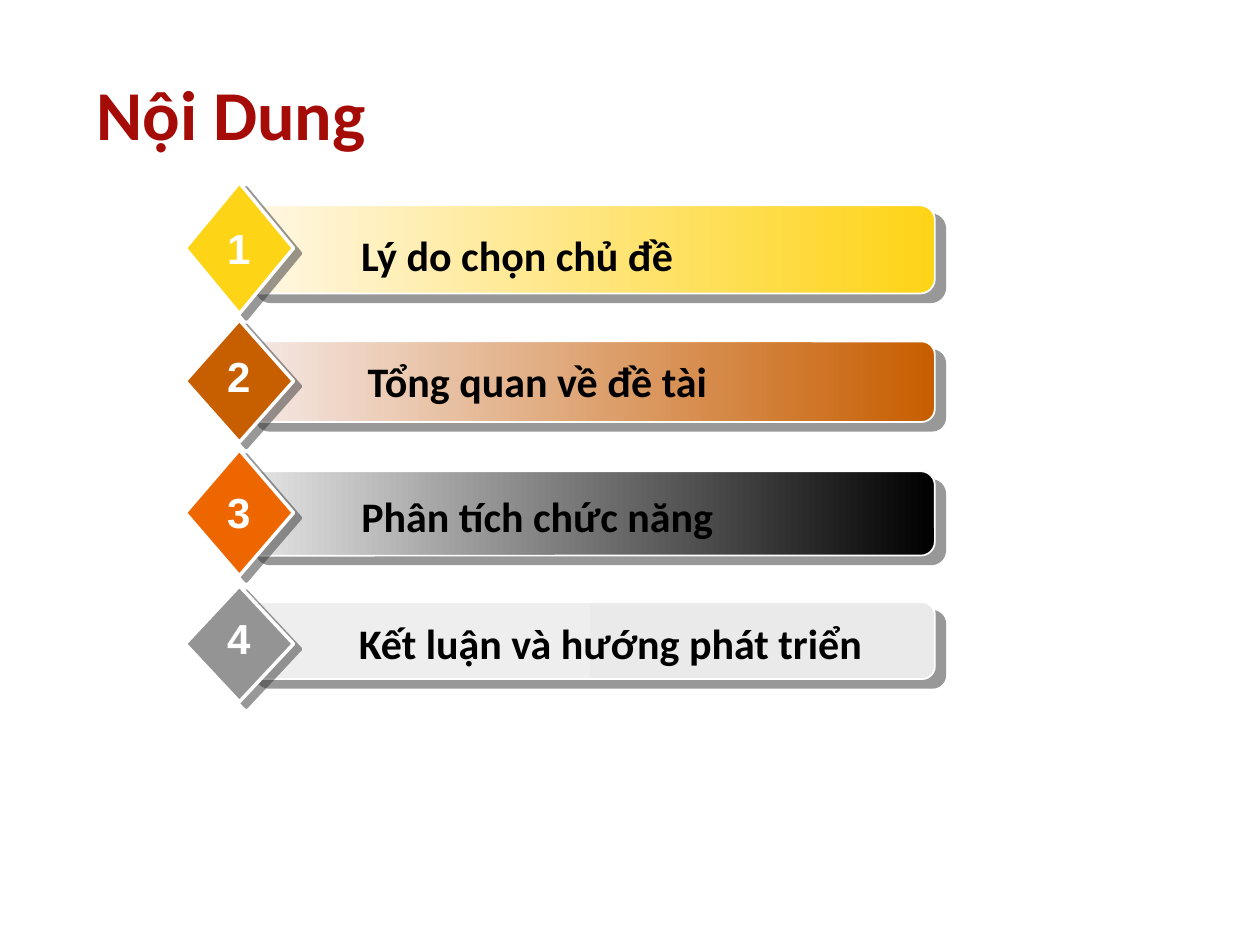
import pptx
import pptx.util
import pptx.dml.color
import pptx.enum.shapes
import pptx.enum.text
import pptx.oxml.ns
from lxml import etree

Inches = pptx.util.Inches
MSO_SHAPE = pptx.enum.shapes.MSO_SHAPE
PP_ALIGN = pptx.enum.text.PP_ALIGN

COLORS = {
    "title": "A50C07",
    "label": "000000",
    "white": "FFFFFF",
    "shadow": "333333",
}

# label, bar top, bar height, diamond top, diamond height,
# label left, label top, number top, bar start, bar end, diamond colour
TOPICS = [
    ("Lý do chọn chủ đề", 1.63, 0.7, 1.45, 1.04, 1.95, 1.77, 1.72,
     "FFF7E6", "FED416", "FED416"),
    ("Tổng quan về đề tài", 2.71, 0.64, 2.54, 0.97, 2.11, 2.77, 2.73,
     "F5E9E6", "C75E00", "C75E00"),
    ("Phân tích chức năng", 3.74, 0.67, 3.57, 1.0, 2.11, 3.84, 3.81,
     "E6E6E6", "000000", "EE6600"),
    ("Kết luận và hướng phát triển", 4.78, 0.61, 4.65, 0.92, 2.69, 4.85, 4.81,
     "EEEEEE", "EAEAEA", "949494"),
]


def rgb(value):
    """Turn a hex string into a colour."""
    return pptx.dml.color.RGBColor.from_string(value)


def add_shadow(shape, distance, angle):
    """Cast a sharp, half transparent shadow (points, degrees)."""
    shape.shadow.inherit = False
    qn = pptx.oxml.ns.qn
    effects = shape._element.spPr.find(qn("a:effectLst"))
    outer = etree.SubElement(
        effects, qn("a:outerShdw"), blurRad="0",
        dist=str(pptx.util.Pt(distance)), dir=str(angle * 60000),
        algn="ctr", rotWithShape="0")
    color = etree.SubElement(outer, qn("a:srgbClr"), val=COLORS["shadow"])
    etree.SubElement(color, qn("a:alpha"), val="50000")


def add_outlined(shapes, kind, box, line_width):
    """Add a preset shape with a white outline."""
    shape = shapes.add_shape(kind, *map(Inches, box))
    shape.line.color.rgb = rgb(COLORS["white"])
    shape.line.width = pptx.util.Pt(line_width)
    return shape


def add_bar(shapes, box, start, end):
    """Add a rounded bar with a left to right gradient."""
    bar = add_outlined(shapes, MSO_SHAPE.ROUNDED_RECTANGLE, box, 1)
    bar.adjustments[0] = 0.167
    bar.fill.gradient()
    bar.fill.gradient_angle = 0
    for stop, color in zip(bar.fill.gradient_stops, (start, end)):
        stop.color.rgb = rgb(color)
    add_shadow(bar, 7.8, 40)


def add_diamond(shapes, box, color):
    """Add the plain diamond behind a number."""
    diamond = add_outlined(shapes, MSO_SHAPE.DIAMOND, box, 2)
    diamond.fill.solid()
    diamond.fill.fore_color.rgb = rgb(color)
    add_shadow(diamond, 5, 37)


def add_text(shapes, box, text, size, font, color, align, wrap):
    """Add one line of bold text."""
    frame = shapes.add_textbox(*map(Inches, box)).text_frame
    frame.word_wrap = wrap
    paragraph = frame.paragraphs[0]
    paragraph.alignment = align
    run = paragraph.add_run()
    run.text = text
    run.font.size = pptx.util.Pt(size)
    run.font.name = font
    run.font.bold = True
    run.font.color.rgb = rgb(color)


def add_topic(slide, number, topic):
    """Add one numbered topic as a group."""
    (label, bar_top, bar_height, diamond_top, diamond_height,
     label_left, label_top, number_top, start, end, diamond_color) = topic
    shapes = slide.shapes.add_group_shape().shapes
    add_bar(shapes, (1.95, bar_top, 5.47, bar_height), start, end)
    add_diamond(shapes, (1.47, diamond_top, 0.86, diamond_height), diamond_color)
    add_text(shapes, (label_left, label_top, 4.31, 0.5), label, 24,
             "Calibri", COLORS["label"], PP_ALIGN.CENTER, True)
    add_text(shapes, (1.67, number_top, 0.45, bar_height), str(number), 24,
             "Arial", COLORS["white"], PP_ALIGN.CENTER, False)


def main():
    """Build the contents slide."""
    deck = pptx.Presentation()
    deck.slide_width, deck.slide_height = Inches(10), Inches(7.5)
    slide = deck.slides.add_slide(deck.slide_layouts[6])
    for number, topic in enumerate(TOPICS, 1):
        add_topic(slide, number, topic)
    add_text(slide.shapes, (0.67, 0.51, 2.36, 0.77), "Nội Dung", 40,
             "Calibri", COLORS["title"], PP_ALIGN.LEFT, False)
    deck.save("out.pptx")


main()
